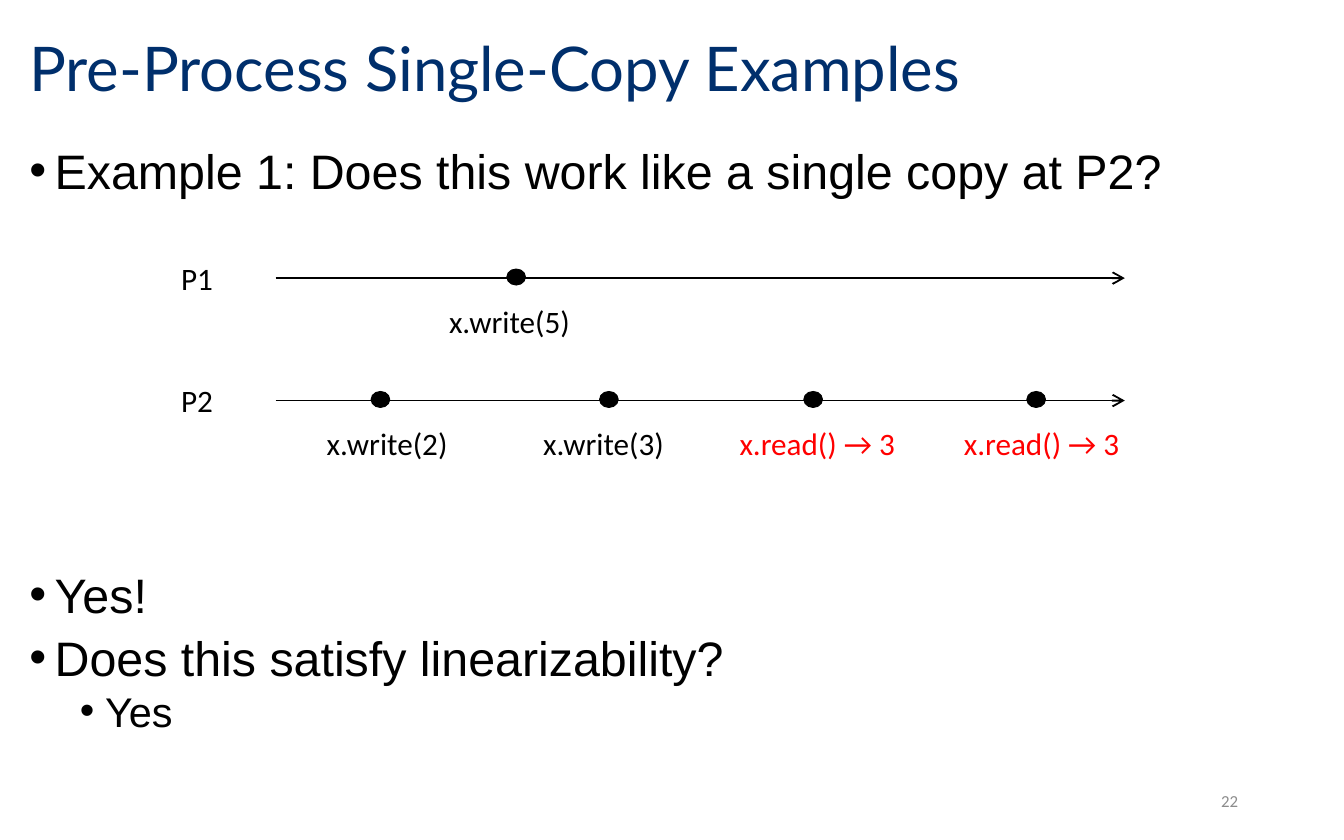
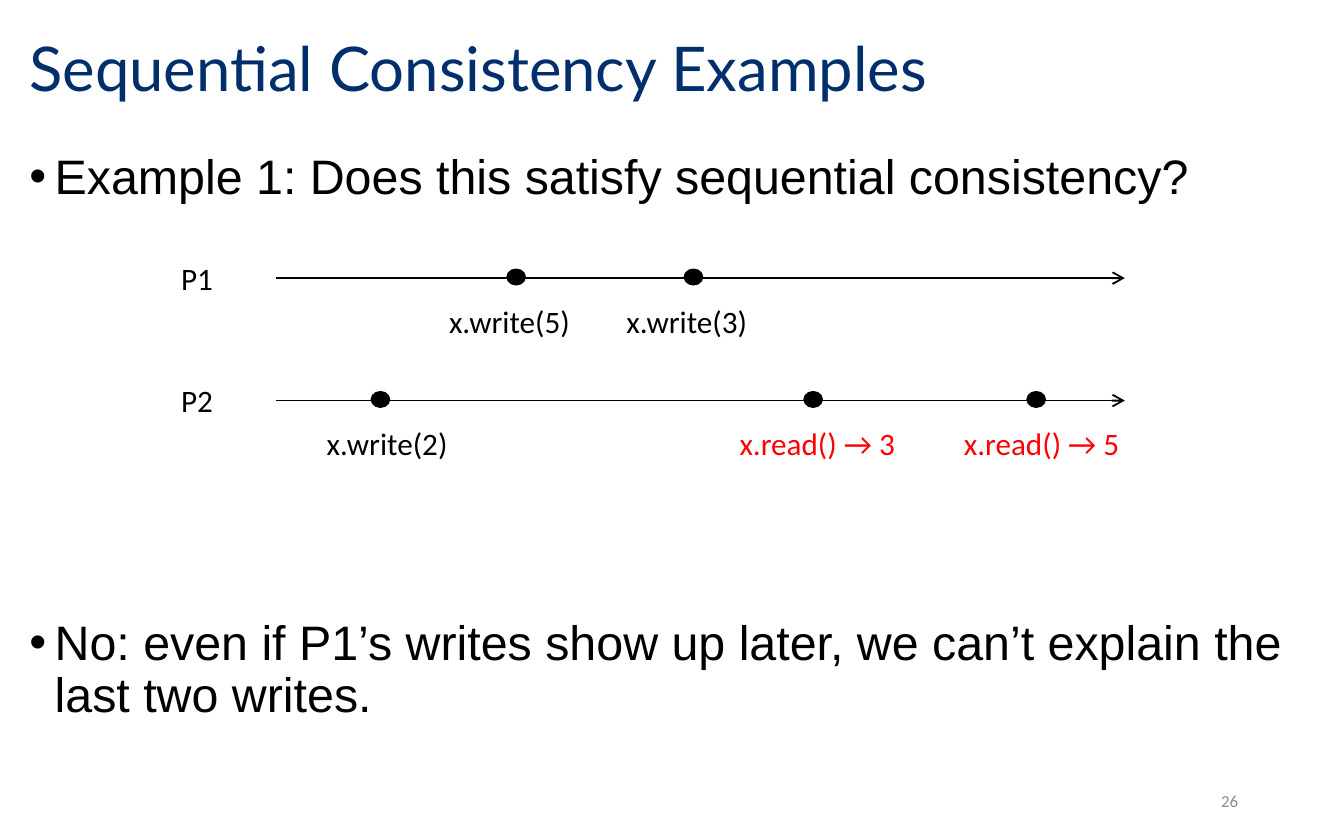
from dataclasses import dataclass

from lxml import etree
from pptx import Presentation
from pptx.dml.color import RGBColor
from pptx.enum.shapes import MSO_CONNECTOR, MSO_SHAPE
from pptx.enum.text import MSO_ANCHOR, MSO_AUTO_SIZE, PP_ALIGN
from pptx.oxml.ns import qn
from pptx.util import Pt

LEFT, CENTER, RIGHT = PP_ALIGN.LEFT, PP_ALIGN.CENTER, PP_ALIGN.RIGHT
MIDDLE, TOP = MSO_ANCHOR.MIDDLE, MSO_ANCHOR.TOP
FIT_SHAPE, NO_FIT = MSO_AUTO_SIZE.SHAPE_TO_FIT_TEXT, MSO_AUTO_SIZE.NONE
OVAL, STRAIGHT = MSO_SHAPE.OVAL, MSO_CONNECTOR.STRAIGHT


@dataclass(frozen=True)
class Theme:
    navy: RGBColor = RGBColor(0x00, 0x2F, 0x6C)
    black: RGBColor = RGBColor(0x00, 0x00, 0x00)
    red: RGBColor = RGBColor(0xFF, 0x00, 0x00)
    gray: RGBColor = RGBColor(0x8C, 0x8C, 0x8C)
    title_font: str = "Lato"
    body_font: str = "Arial"
    label_font: str = "Calibri"
    title_size: float = 33
    bullet_sizes: tuple[float, float] = (25.9, 22.2)
    label_size: float = 16.7
    number_size: float = 9


@dataclass(frozen=True)
class Box:
    left: float
    top: float
    width: float
    height: float

    def lengths(self) -> tuple[Pt, Pt, Pt, Pt]:
        return Pt(self.left), Pt(self.top), Pt(self.width), Pt(self.height)


@dataclass(frozen=True)
class Moment:
    """Horizontal centres of a dot on a timeline and of its label."""
    dot_x: float
    label_x: float


@dataclass(frozen=True)
class Operation:
    moment: Moment
    text: str
    is_read: bool = False


@dataclass(frozen=True)
class Process:
    name: str
    axis_y: float
    operations: tuple[Operation, ...]


@dataclass(frozen=True)
class Bullet:
    text: str
    space_before: float = 0
    level: int = 0


@dataclass(frozen=True)
class Example:
    title: str
    number: int
    line_spacing: float
    bullets: tuple[Bullet, ...]
    processes: tuple[Process, ...]


THEME = Theme()
TITLE_BOX = Box(8.6, 7.2, 613.4, 62)
BODY_BOX = Box(8.6, 75.6, 703.4, 329.8)
NUMBER_BOX = Box(508.3, 416.9, 162, 23.8)
BODY_INSET_TOP = 6
BULLET_INDENT = 13.5
LEVEL_INDENT = 27
AXIS_START, AXIS_END = 147.6, 602.6
NAME_LEFT, NAME_WIDTH = 90, 57.6
LABEL_WIDTH, LABEL_HEIGHT = 206, 27.4
NAME_RISE, LABEL_DROP = 13.7, 9.4
DOT_WIDTH, DOT_HEIGHT, DOT_RISE = 10, 8.6, 4.9
P1_Y, P2_Y = 149, 214.6

P2_FIRST = Moment(203.8, 207.4)
P1_FIRST = Moment(276.5, 272.9)
P2_SECOND = Moment(326.2, 323.3)
P1_SECOND = Moment(371.5, 367.9)
EARLY_READ = Moment(435.6, 437.8)
LATE_READ = Moment(555.1, 558)

WRITE_5 = Operation(P1_FIRST, "x.write(5)")
WRITE_2 = Operation(P2_FIRST, "x.write(2)")
READ_3 = Operation(EARLY_READ, "x.read() → 3", True)

EXAMPLES = (
    Example(
        "Pre-Process Single-Copy Examples", 22, 0.8,
        (
            Bullet("Example 1: Does this work like a single copy at P2?"),
            Bullet("Yes!", 202),
            Bullet("Does this satisfy linearizability?", 8.9),
            Bullet("Yes", 5.3, 1),
        ),
        (
            Process("P1", P1_Y, (WRITE_5,)),
            Process("P2", P2_Y, (
                WRITE_2,
                Operation(P2_SECOND, "x.write(3)"),
                READ_3,
                Operation(LATE_READ, "x.read() → 3", True),
            )),
        ),
    ),
    Example(
        "Sequential Consistency Examples", 26, 0.9,
        (
            Bullet("Example 1: Does this satisfy sequential consistency?"),
            Bullet("No: even if P1’s writes show up later, we can’t explain "
                   "the last two writes.", 221.8),
        ),
        (
            Process("P1", P1_Y, (
                WRITE_5,
                Operation(P1_SECOND, "x.write(3)"),
            )),
            Process("P2", P2_Y, (
                WRITE_2,
                READ_3,
                Operation(LATE_READ, "x.read() → 5", True),
            )),
        ),
    ),
)


def style_font(paragraph, name: str, size: float, color: RGBColor) -> None:
    for run in paragraph.runs:
        run.font.name = name
        run.font.size = Pt(size)
        run.font.color.rgb = color


def place(shape, box: Box) -> None:
    shape.left, shape.top, shape.width, shape.height = box.lengths()


def add_label(slide, box: Box, text: str, color: RGBColor = THEME.black,
              align: PP_ALIGN = LEFT, size: float = THEME.label_size):
    frame = slide.shapes.add_textbox(*box.lengths()).text_frame
    frame.word_wrap = True
    frame.text = text
    paragraph = frame.paragraphs[0]
    paragraph.alignment = align
    style_font(paragraph, THEME.label_font, size, color)
    return frame


def fill_title(slide, text: str) -> None:
    title = slide.shapes.title
    place(title, TITLE_BOX)
    frame = title.text_frame
    frame.text = text
    frame.auto_size = NO_FIT
    frame.vertical_anchor = MIDDLE
    paragraph = frame.paragraphs[0]
    paragraph.alignment = LEFT
    paragraph.line_spacing = 0.9
    style_font(paragraph, THEME.title_font, THEME.title_size, THEME.navy)


def fill_bullets(slide, example: Example) -> None:
    body = slide.placeholders[1]
    place(body, BODY_BOX)
    frame = body.text_frame
    frame.text = "\n".join(bullet.text for bullet in example.bullets)
    frame.auto_size = NO_FIT
    frame.vertical_anchor = TOP
    frame.margin_top = Pt(BODY_INSET_TOP)
    for paragraph, bullet in zip(frame.paragraphs, example.bullets):
        paragraph.level = bullet.level
        paragraph.line_spacing = example.line_spacing
        paragraph.space_before = Pt(bullet.space_before)
        paragraph.space_after = Pt(0)
        properties = paragraph._p.get_or_add_pPr()
        margin = BULLET_INDENT + bullet.level * LEVEL_INDENT
        properties.set("marL", str(Pt(margin)))
        properties.set("indent", str(-Pt(BULLET_INDENT)))
        etree.SubElement(properties, qn("a:buFont"), typeface=THEME.body_font)
        etree.SubElement(properties, qn("a:buChar"), char="•")
        style_font(paragraph, THEME.body_font,
                   THEME.bullet_sizes[bullet.level], THEME.black)


def add_axis(slide, y: float) -> None:
    axis = slide.shapes.add_connector(
        STRAIGHT, Pt(AXIS_START), Pt(y), Pt(AXIS_END), Pt(y))
    axis.line.color.rgb = THEME.black
    axis.line.width = Pt(1)
    etree.SubElement(axis.line._get_or_add_ln(), qn("a:tailEnd"), type="arrow")
    etree.SubElement(axis._element.spPr, qn("a:effectLst"))


def add_operation(slide, operation: Operation, axis_y: float) -> None:
    moment = operation.moment
    dot_box = Box(moment.dot_x - DOT_WIDTH / 2, axis_y - DOT_RISE,
                  DOT_WIDTH, DOT_HEIGHT)
    dot = slide.shapes.add_shape(OVAL, *dot_box.lengths())
    dot.shadow.inherit = False
    dot.fill.solid()
    dot.fill.fore_color.rgb = THEME.black
    dot.line.color.rgb = THEME.black
    dot.line.width = Pt(0.5)
    label_box = Box(moment.label_x - LABEL_WIDTH / 2, axis_y + LABEL_DROP,
                    LABEL_WIDTH, LABEL_HEIGHT)
    color = THEME.red if operation.is_read else THEME.black
    label = add_label(slide, label_box, operation.text, color, CENTER)
    label.auto_size = FIT_SHAPE


def add_process(slide, process: Process) -> None:
    add_axis(slide, process.axis_y)
    name_box = Box(NAME_LEFT, process.axis_y - NAME_RISE,
                   NAME_WIDTH, LABEL_HEIGHT)
    add_label(slide, name_box, process.name).auto_size = FIT_SHAPE
    for operation in process.operations:
        add_operation(slide, operation, process.axis_y)


def add_example(presentation, example: Example) -> None:
    slide = presentation.slides.add_slide(presentation.slide_layouts[1])
    fill_title(slide, example.title)
    fill_bullets(slide, example)
    number = add_label(slide, NUMBER_BOX, str(example.number), THEME.gray,
                       RIGHT, THEME.number_size)
    number.vertical_anchor = MIDDLE
    for process in example.processes:
        add_process(slide, process)


def main() -> None:
    presentation = Presentation()
    presentation.slide_width = Pt(720)
    presentation.slide_height = Pt(450)
    for example in EXAMPLES:
        add_example(presentation, example)
    presentation.save("out.pptx")


if __name__ == "__main__":
    main()
